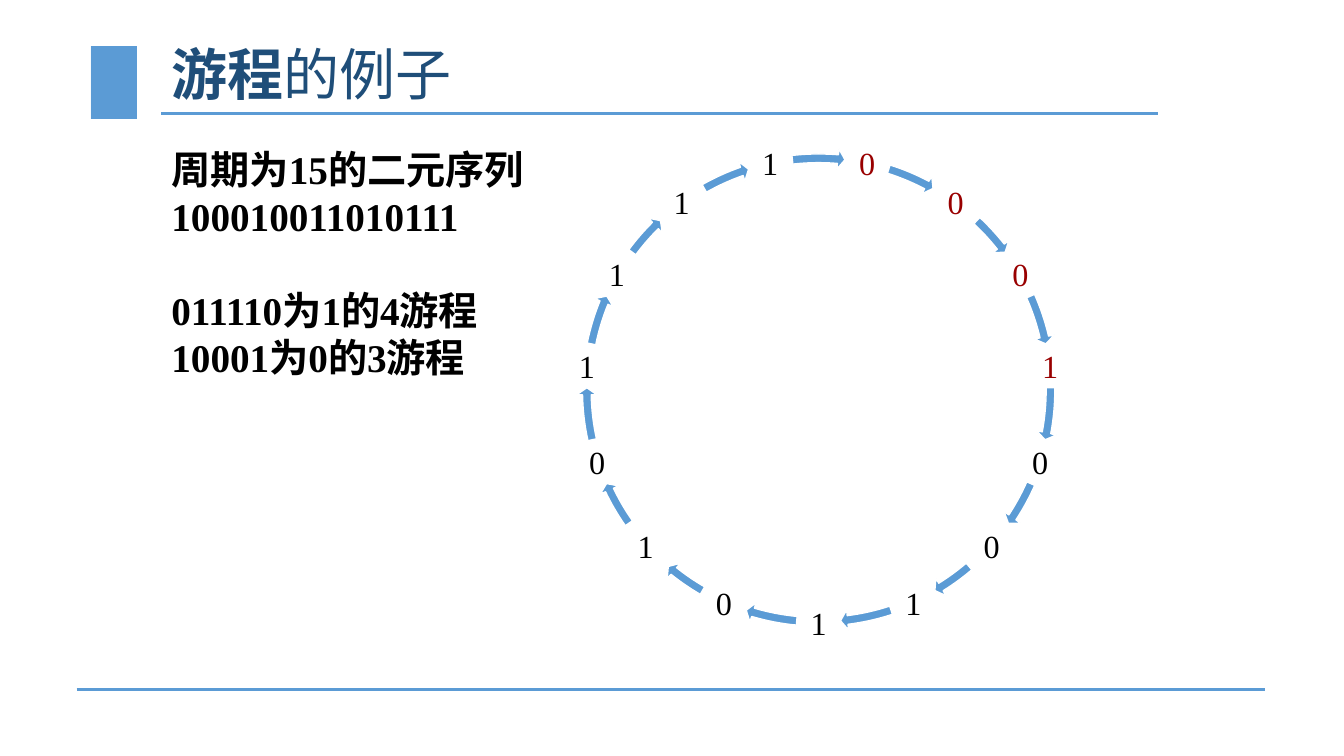
from dataclasses import dataclass
from math import cos, radians, sin

from lxml import etree
from pptx import Presentation
from pptx.dml.color import RGBColor
from pptx.enum.dml import MSO_PATTERN
from pptx.enum.shapes import MSO_CONNECTOR, MSO_SHAPE
from pptx.enum.text import MSO_ANCHOR, MSO_AUTO_SIZE, PP_ALIGN
from pptx.oxml.ns import qn
from pptx.util import Inches, Pt

LEFT, CENTER = PP_ALIGN.LEFT, PP_ALIGN.CENTER
TOP, MIDDLE = MSO_ANCHOR.TOP, MSO_ANCHOR.MIDDLE
RECT, ARROW = MSO_SHAPE.RECTANGLE, MSO_SHAPE.CIRCULAR_ARROW
STRAIGHT = MSO_CONNECTOR.STRAIGHT
STRIPES = MSO_PATTERN.DARK_HORIZONTAL
NO_FIT = MSO_AUTO_SIZE.NONE


@dataclass(frozen=True)
class Theme:
    blue: RGBColor = RGBColor.from_string("5B9BD5")
    navy: RGBColor = RGBColor.from_string("1F4E79")
    red: RGBColor = RGBColor.from_string("990000")
    black: RGBColor = RGBColor.from_string("000000")
    white: RGBColor = RGBColor.from_string("FFFFFF")
    title: Pt = Pt(40)
    body: Pt = Pt(28)
    bit: Pt = Pt(23)
    pitch: Pt = Pt(33.6)
    rule: Pt = Pt(2.25)
    sans: str = "Noto Sans CJK SC"
    serif: str = "Times New Roman"


THEME = Theme()
CYCLE = "100010011010111"
RUN = 4
STEP = 360 / len(CYCLE)
MID_X, MID_Y, RADIUS = 8.12, 3.87, 2.31
TILE, RING = 0.44, 4.8
# Start and end angle of each arrow, clockwise from three o'clock
SPANS = [
    (287.6, 297.8), (313.02, 321.77), (336.08, 346.76), (359.42, 10.63),
    (23.8, 33.32), (49.56, 58.16), (71.8, 82.82), (95.42, 106.44),
    (120.08, 128.68), (144.93, 154.45), (167.61, 178.82), (191.48, 202.17),
    (216.48, 225.22), (240.44, 250.64), (263.49, 274.76),
]
CLAIMS = ["周期为15的二元序列", CYCLE, "011110为1的4游程", "10001为0的3游程"]


def style(item, **values):
    for name, value in values.items():
        setattr(item, name, value)


def place(shape, *box):
    names = ("left", "top", "width", "height")
    style(shape, **dict(zip(names, map(Inches, box))))


def add_run(para, text, face, color, **look):
    run = para.add_run()
    run.text = text
    style(run.font, name=face, **look)
    run.font.color.rgb = color
    east = etree.SubElement(run.font._element, qn("a:ea"))
    east.set("typeface", THEME.sans)


def add_rule(slide, start, end, y):
    line = slide.shapes.add_connector(
        STRAIGHT, Inches(start), Inches(y), Inches(end), Inches(y))
    line.line.color.rgb = THEME.blue
    line.line.width = THEME.rule
    etree.SubElement(line._element.spPr, qn("a:effectLst"))


def add_mark(slide):
    mark = slide.shapes.add_shape(RECT, *map(Inches, (0.9, 0.45, 0.46, 0.72)))
    mark.shadow.inherit = False
    mark.fill.patterned()
    style(mark.fill, pattern=STRIPES)
    mark.fill.fore_color.rgb = THEME.blue
    mark.fill.back_color.rgb = THEME.white
    mark.line.fill.background()


def fill_title(slide):
    title = slide.shapes.title
    place(title, 1.6, 0.4, 9.88, 0.73)
    style(title.text_frame, vertical_anchor=MIDDLE, auto_size=NO_FIT)
    para = title.text_frame.paragraphs[0]
    style(para, alignment=LEFT, line_spacing=0.9)
    for text, bold in (("游程", True), ("的例子", False)):
        add_run(para, text, THEME.sans, THEME.navy,
                size=THEME.title, bold=bold)


def fill_body(slide):
    body = slide.placeholders[1]
    place(body, 1.6, 1.39, 4.92, 2.46)
    frame = body.text_frame
    style(frame, word_wrap=True, vertical_anchor=TOP, auto_size=NO_FIT)
    for i, text in enumerate(CLAIMS):
        para = frame.add_paragraph() if i else frame.paragraphs[0]
        props = para._p.get_or_add_pPr()
        props.set("marL", "0")
        props.set("indent", "0")
        etree.SubElement(props, qn("a:buNone"))
        style(para, alignment=LEFT, line_spacing=THEME.pitch,
              space_before=THEME.pitch if i == 2 else Pt(0))
        add_run(para, text, THEME.serif, THEME.black,
                size=THEME.body, bold=True)


def add_bit(slide, bit, angle, color):
    x = MID_X + RADIUS * cos(radians(angle)) - TILE / 2
    y = MID_Y + RADIUS * sin(radians(angle)) - TILE / 2
    box = slide.shapes.add_textbox(*map(Inches, (x, y, TILE, TILE)))
    frame = box.text_frame
    pad = Inches(0.03)
    style(frame, word_wrap=True, vertical_anchor=MIDDLE, margin_left=pad,
          margin_right=pad, margin_top=pad, margin_bottom=pad)
    para = frame.paragraphs[0]
    para.alignment = CENTER
    add_run(para, bit, THEME.serif, color, size=THEME.bit)


def add_arrow(slide, start, end):
    box = (MID_X - RING / 2, MID_Y - RING / 2, RING, RING)
    arrow = slide.shapes.add_shape(ARROW, *map(Inches, box))
    arrow.shadow.inherit = False
    # Angles are held in 60000ths of a degree, other values in 100000ths
    shape = (0.018, 1.056, end * 0.6, start * 0.6, 0.021)
    for i, value in enumerate(shape):
        arrow.adjustments[i] = value
    arrow.fill.solid()
    arrow.fill.fore_color.rgb = THEME.blue
    arrow.line.color.rgb = THEME.white
    arrow.line.width = Pt(1)


def add_cycle(slide):
    """Draw the bits clockwise, from the second one just right of the top."""
    bits = CYCLE[1:] + CYCLE[0]
    for i, (bit, span) in enumerate(zip(bits, SPANS)):
        color = THEME.red if i < RUN else THEME.black
        add_bit(slide, bit, STEP * (i + 0.5) - 90, color)
        add_arrow(slide, *span)


def main():
    deck = Presentation()
    style(deck, slide_width=Inches(13.33), slide_height=Inches(7.5))
    slide = deck.slides.add_slide(deck.slide_layouts[1])
    add_mark(slide)
    add_rule(slide, 1.6, 11.49, 1.13)
    fill_title(slide)
    add_cycle(slide)
    fill_body(slide)
    add_rule(slide, 0.76, 12.55, 6.84)
    deck.save("out.pptx")


if __name__ == "__main__":
    main()
